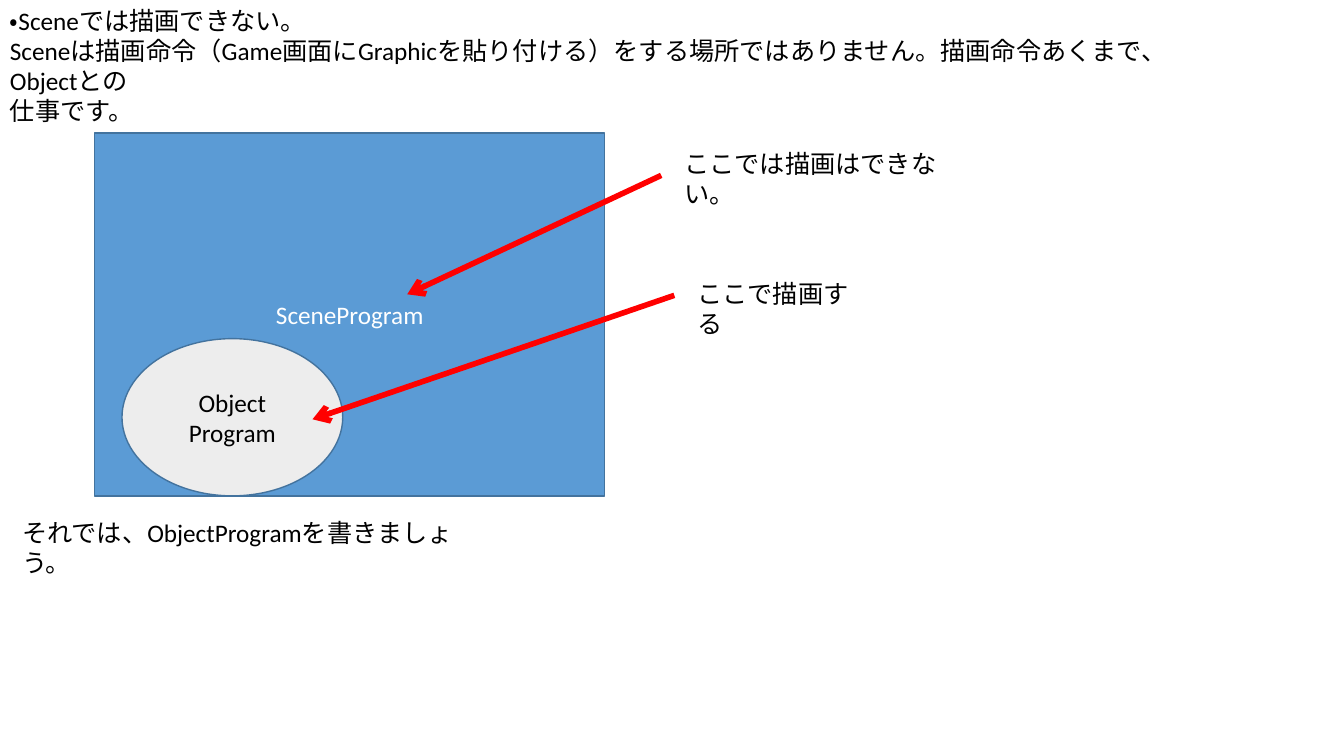
from lxml.etree import SubElement
from pptx import Presentation
from pptx.dml.color import RGBColor
from pptx.enum.lang import MSO_LANGUAGE_ID
from pptx.enum.shapes import MSO_CONNECTOR, MSO_SHAPE
from pptx.enum.text import MSO_ANCHOR, MSO_AUTO_SIZE, PP_ALIGN
from pptx.oxml.ns import qn
from pptx.util import Inches, Pt


def paint(colour, hex_code):
    colour.rgb = RGBColor.from_string(hex_code)


def write(frame, text, colour="000000", align=PP_ALIGN.LEFT, anchor=MSO_ANCHOR.TOP,
          fit=MSO_AUTO_SIZE.SHAPE_TO_FIT_TEXT):
    frame.word_wrap = True
    frame.auto_size = fit
    frame.vertical_anchor = anchor
    for index, line in enumerate(text.split("\n")):
        paragraph = frame.paragraphs[0] if index == 0 else frame.add_paragraph()
        paragraph.alignment = align
        run = paragraph.add_run()
        run.text = line
        run.font.name = "Calibri"
        run.font.size = Pt(18)
        run.font.language_id = MSO_LANGUAGE_ID.JAPANESE
        paint(run.font.color, colour)


deck = Presentation()
deck.slide_width, deck.slide_height = Inches(13.33), Inches(7.5)
slide = deck.slides.add_slide(deck.slide_layouts[6])
col, row = deck.slide_width / 40, deck.slide_height / 30

programs = [
    (MSO_SHAPE.RECTANGLE, "SceneProgram", 2.82, 5.28, 15.18, 14.4, "5B9BD5", "FFFFFF"),
    (MSO_SHAPE.OVAL, "Object\nProgram", 3.63, 13.44, 6.57, 6.24, "EDEDED", "000000"),
]
passages = [
    ("・Sceneでは描画できない。\n"
     "Sceneは描画命令（Game画面にGraphicを貼り付ける）をする場所ではありません。描画命令あくまで、Objectとの\n"
     "仕事です。", 0, 0, 35.85, 4.04),
    ("ここでは描画はできない。", 20.07, 5.68, 8.76, 1.6),
    ("ここで描画する", 20.46, 10.84, 5.4, 1.6),
    ("それでは、ObjectProgramを書きましょう。", 0.36, 20.32, 13.53, 1.6),
]
pointers = [(19.68, 6.96, 12.12, 11.68), (20.07, 11.72, 9.3, 16.64)]

for outline, label, x, y, width, height, fill, ink in programs:
    program = slide.shapes.add_shape(
        outline, int(x * col), int(y * row), int(width * col), int(height * row))
    program.shadow.inherit = False
    program.fill.solid()
    paint(program.fill.fore_color, fill)
    paint(program.line.color, "43739E")
    program.line.width = Pt(1)
    write(program.text_frame, label, colour=ink, align=PP_ALIGN.CENTER,
          anchor=MSO_ANCHOR.MIDDLE, fit=MSO_AUTO_SIZE.NONE)

for passage, x, y, width, height in passages:
    note = slide.shapes.add_textbox(
        int(x * col), int(y * row), int(width * col), int(height * row))
    write(note.text_frame, passage)

for start_x, start_y, end_x, end_y in pointers:
    pointer = slide.shapes.add_connector(
        MSO_CONNECTOR.STRAIGHT, int(start_x * col), int(start_y * row),
        int(end_x * col), int(end_y * row))
    paint(pointer.line.color, "FF0000")
    pointer.line.width = Pt(4)
    SubElement(pointer.line._get_or_add_ln(), qn("a:tailEnd"), type="arrow")
    SubElement(pointer._element.spPr, qn("a:effectLst"))

deck.save("out.pptx")
